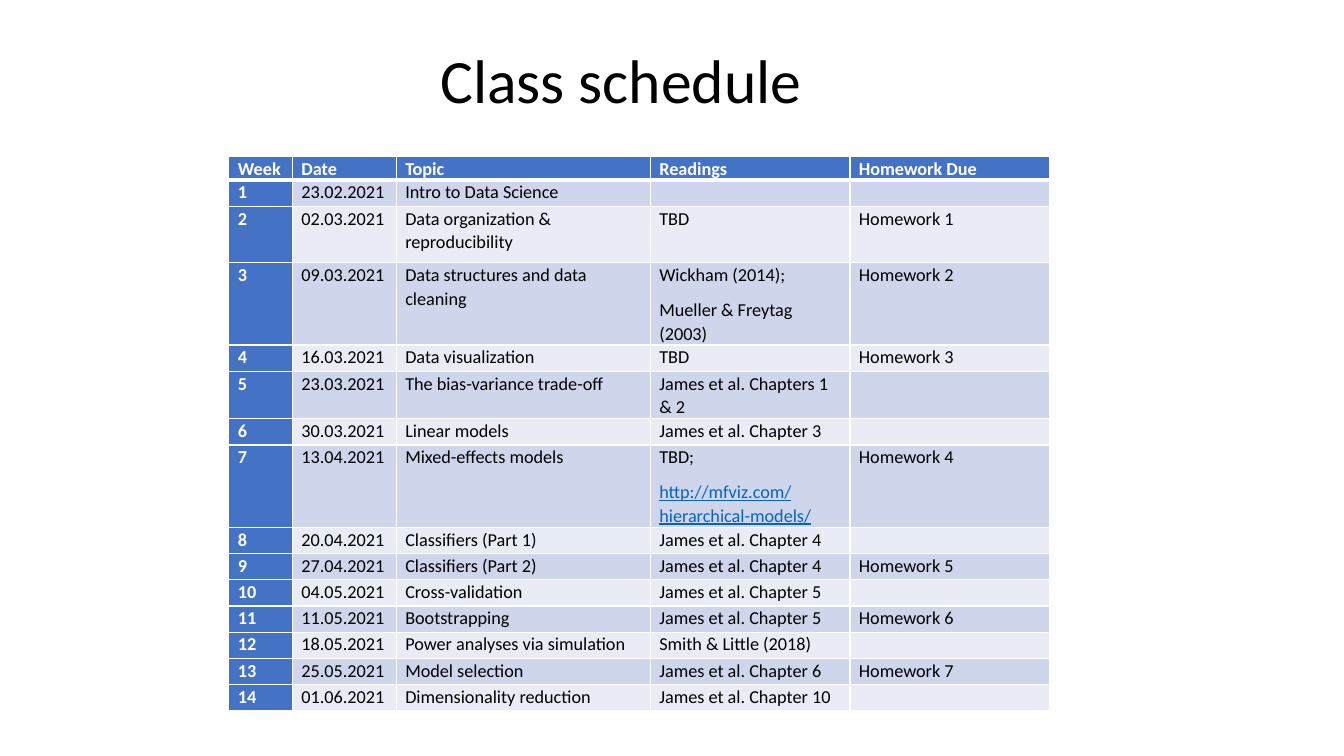
from lxml import etree
from pptx import Presentation
from pptx import util as u
from pptx.dml.color import RGBColor
from pptx.enum import text
from pptx.oxml.ns import qn

BLACK = RGBColor(0x00, 0x00, 0x00)
WHITE = RGBColor(0xFF, 0xFF, 0xFF)
BLUE = RGBColor(0x44, 0x72, 0xC4)
BAND_DARK = RGBColor(0xCF, 0xD5, 0xEA)
BAND_LIGHT = RGBColor(0xE9, 0xEB, 0xF5)
LINK = RGBColor(0x05, 0x63, 0xC1)
FONT, SIZE = "Calibri", u.Pt(13)

HEADER = ("Week", "Date", "Topic", "Readings", "Homework Due")
# Date, topic, readings, homework; weeks are numbered by position
CLASSES = [
    ("23.02.2021", "Intro to Data Science", "", ""),
    ("02.03.2021", "Data organization & reproducibility", "TBD", "Homework 1"),
    ("09.03.2021", "Data structures and data cleaning",
     "Wickham (2014);\nMueller & Freytag (2003)", "Homework 2"),
    ("16.03.2021", "Data visualization", "TBD", "Homework 3"),
    ("23.03.2021", "The bias-variance trade-off", "James et al. Chapters 1 & 2", ""),
    ("30.03.2021", "Linear models", "James et al. Chapter 3", ""),
    ("13.04.2021", "Mixed-effects models",
     "TBD;\nhttp://mfviz.com/hierarchical-models/", "Homework 4"),
    ("20.04.2021", "Classifiers (Part 1)", "James et al. Chapter 4", ""),
    ("27.04.2021", "Classifiers (Part 2)", "James et al. Chapter 4", "Homework 5"),
    ("04.05.2021", "Cross-validation", "James et al. Chapter 5", ""),
    ("11.05.2021", "Bootstrapping", "James et al. Chapter 5", "Homework 6"),
    ("18.05.2021", "Power analyses via simulation", "Smith & Little (2018)", ""),
    ("25.05.2021", "Model selection", "James et al. Chapter 6", "Homework 7"),
    ("01.06.2021", "Dimensionality reduction", "James et al. Chapter 10", ""),
]
ROWS = [HEADER] + [(str(week), *c) for week, c in enumerate(CLASSES, 1)]
COL_WIDTHS = (0.63, 1.03, 2.52, 1.98, 1.98)
ROW_HEIGHT = 0.26
SPECIAL_HEIGHTS = {0: 0.21, 2: 0.56, 3: 0.8, 5: 0.44, 7: 0.8}


def set_attrs(obj, **values):
    for name, value in values.items():
        setattr(obj, name, value)


def add_border(cell, side, points):
    ln = etree.SubElement(cell._tc.get_or_add_tcPr(), qn(f"a:ln{side}"),
                          w=str(u.Pt(points)))
    fill = etree.SubElement(ln, qn("a:solidFill"))
    etree.SubElement(fill, qn("a:srgbClr"), val=str(WHITE))


prs = Presentation()
set_attrs(prs, slide_width=u.Inches(13.33), slide_height=u.Inches(7.5))
s = prs.slides.add_slide(prs.slide_layouts[5])

# Title
title = s.shapes.title
set_attrs(title, left=u.Inches(0.41), top=u.Inches(0.1),
          width=u.Inches(11.5), height=u.Inches(1.45))
tf = title.text_frame
tf.text = "Class schedule"
set_attrs(tf, vertical_anchor=text.MSO_ANCHOR.MIDDLE, word_wrap=True)
p = tf.paragraphs[0]
set_attrs(p, alignment=text.PP_ALIGN.CENTER, line_spacing=0.9)
set_attrs(p.runs[0].font, name=FONT, size=u.Pt(44))
p.runs[0].font.color.rgb = BLACK

# Table grid
heights = [SPECIAL_HEIGHTS.get(i, ROW_HEIGHT) for i in range(len(ROWS))]
table = s.shapes.add_table(len(ROWS), len(HEADER), u.Inches(2.27), u.Inches(1.55),
                           u.Inches(sum(COL_WIDTHS)), u.Inches(sum(heights))).table
table.first_col = True
for col, width in zip(table.columns, COL_WIDTHS):
    col.width = u.Inches(width)
for row, height in zip(table.rows, heights):
    row.height = u.Inches(height)

# Cells: blue header and week column, banded body
for i, row in enumerate(ROWS):
    for j, content in enumerate(row):
        cell = table.cell(i, j)
        heading = i == 0 or j == 0
        set_attrs(cell, margin_left=u.Inches(0.09), margin_right=u.Inches(0.09),
                  margin_top=0, margin_bottom=0)
        for side in "LRTB":
            add_border(cell, side, 3 if (i, side) in ((0, "B"), (1, "T")) else 1)
        cell.fill.solid()
        cell.fill.fore_color.rgb = BLUE if heading else BAND_DARK if i % 2 else BAND_LIGHT
        cell.text_frame.text = content
        for p in cell.text_frame.paragraphs:
            set_attrs(p, line_spacing=1.07,
                      space_after=u.Pt(0 if j == 4 or i == 2 else 8))
            for r in p.runs:
                is_link = r.text.startswith("http")
                set_attrs(r.font, name=FONT, size=SIZE, bold=heading, underline=is_link)
                r.font.color.rgb = WHITE if heading else LINK if is_link else BLACK
            if not p.runs:  # keeps empty cells as low as the filled ones
                etree.SubElement(p._p, qn("a:endParaRPr"), sz="1300")

prs.save("out.pptx")
